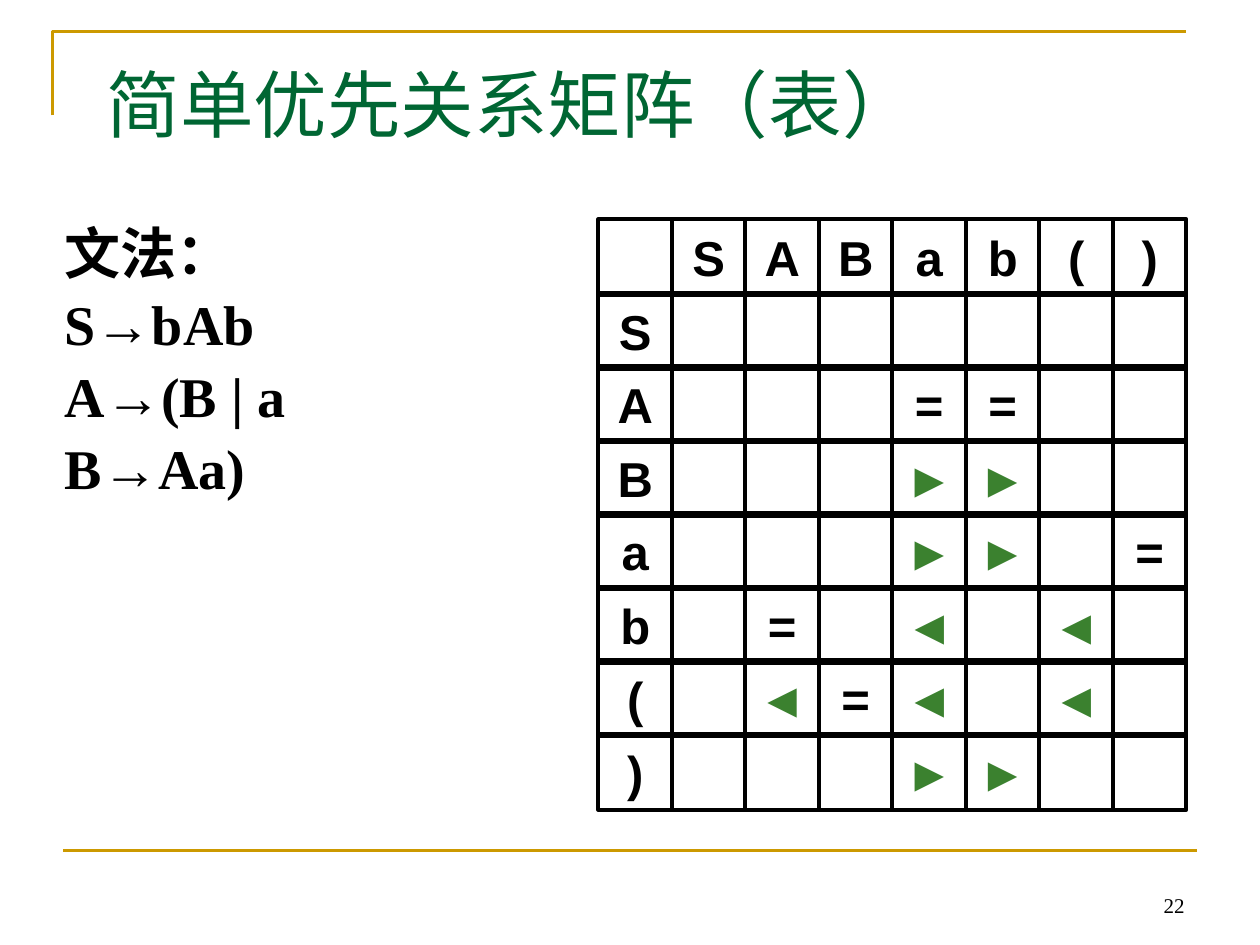
from dataclasses import dataclass

from lxml import etree
from pptx import Presentation
from pptx.dml.color import RGBColor
from pptx.enum.shapes import MSO_CONNECTOR, MSO_SHAPE
from pptx.enum.text import MSO_ANCHOR, PP_ALIGN
from pptx.oxml.ns import qn
from pptx.util import Emu, Pt

STRAIGHT = MSO_CONNECTOR.STRAIGHT
RECTANGLE = MSO_SHAPE.RECTANGLE
TOP, MIDDLE, BOTTOM = MSO_ANCHOR.TOP, MSO_ANCHOR.MIDDLE, MSO_ANCHOR.BOTTOM
LEFT, CENTER, RIGHT = PP_ALIGN.LEFT, PP_ALIGN.CENTER, PP_ALIGN.RIGHT
EMU_PER_PX = 9525


@dataclass(frozen=True)
class Theme:
    ink: str = "000000"
    title: str = "006633"
    rule: str = "CC9900"
    arrow: str = "3B812F"
    serif: str = "Times New Roman"
    sans: str = "Arial"
    title_size: float = 42
    body_size: float = 32
    cell_size: float = 28
    number_size: float = 12
    rule_width: float = 1.5
    border: float = 2.25


THEME = Theme()
SYMBOLS = "SABab()"
RELATIONS = {
    "A": {"a": "=", "b": "="},
    "B": {"a": "►", "b": "►"},
    "a": {"a": "►", "b": "►", ")": "="},
    "b": {"A": "=", "a": "◄", "(": "◄"},
    "(": {"A": "◄", "B": "=", "a": "◄", "(": "◄"},
    ")": {"a": "►", "b": "►"},
}
GRAMMAR = ["文法：", "S→bAb", "A→(B | a", "B→Aa)"]


def px(length):
    return Emu(length * EMU_PER_PX)


def style_para(para, size, color, font=THEME.serif, bold=False, align=LEFT):
    para.alignment = align
    for span in para.runs:
        span.font.size = Pt(size)
        span.font.name = font
        span.font.bold = bold
        span.font.color.rgb = RGBColor.from_string(color)


def style_line(shape, color, width):
    shape.line.color.rgb = RGBColor.from_string(color)
    shape.line.width = Pt(width)


def add_text(page, box, lines, size, color, bold=False, align=LEFT, anchor=TOP):
    frame = page.shapes.add_textbox(*map(px, box)).text_frame
    frame.word_wrap = True
    frame.vertical_anchor = anchor
    frame.text = "\n".join(lines)
    for para in frame.paragraphs:
        style_para(para, size, color, bold=bold, align=align)
    return frame


def add_frame_rules(page, box):
    """Draw the corner bracket at the top of the box and the rule at its foot."""
    left, top, width, height = box
    builder = page.shapes.build_freeform(px(left), px(top + 64))
    builder.add_line_segments(
        [(px(left), px(top)), (px(left + width), px(top))], close=False)
    bracket = builder.convert_to_shape()
    bracket.shadow.inherit = False
    bracket.fill.background()
    style_line(bracket, THEME.rule, THEME.rule_width)

    foot_left, foot_top = px(left + 8), px(top + height)
    foot = page.shapes.add_connector(
        STRAIGHT, foot_left, foot_top, px(left + 8 + width), foot_top)
    etree.SubElement(foot.element.spPr, qn("a:effectLst"))
    style_line(foot, THEME.rule, THEME.rule_width)


def add_grammar(page, box):
    frame = add_text(page, box, GRAMMAR, THEME.body_size, THEME.ink, bold=True)
    for para in frame.paragraphs[1:]:
        para.line_spacing = 0.9
        para.space_before = Pt(6.4)


def add_cell(row, box, text):
    cell = row.shapes.add_shape(RECTANGLE, *map(px, box))
    cell.shadow.inherit = False
    cell.fill.background()
    style_line(cell, THEME.ink, THEME.border)
    if not text:
        return
    frame = cell.text_frame
    frame.word_wrap = True
    frame.vertical_anchor = MIDDLE
    frame.text = text
    is_arrow = text in ("►", "◄")
    style_para(
        frame.paragraphs[0], THEME.cell_size,
        THEME.arrow if is_arrow else THEME.ink,
        THEME.serif if is_arrow else THEME.sans, bold=True, align=CENTER)


def add_precedence_matrix(page, box):
    """Stack one group of bordered cells per row; rows overlap by 2 px."""
    rows = [["", *SYMBOLS]]
    for symbol in SYMBOLS:
        found = RELATIONS.get(symbol, {})
        rows.append([symbol, *(found.get(other, "") for other in SYMBOLS)])
    left, top, width, height = box
    overlap = 2
    cell_width = width // len(rows[0])
    pitch = (height - overlap) // len(rows)
    for r, texts in enumerate(rows):
        row = page.shapes.add_group_shape()
        for c, text in enumerate(texts):
            add_cell(row, (left + c * cell_width, top + r * pitch,
                           cell_width, pitch + overlap), text)


def build_slide(deck):
    page = deck.slides.add_slide(deck.slide_layouts[6])
    add_frame_rules(page, (40, 24, 864, 624))
    add_text(page, (688, 656, 224, 48), ["22"], THEME.number_size, THEME.ink,
             align=RIGHT, anchor=BOTTOM)
    add_text(page, (72, 40, 816, 80), ["简单优先关系矩阵（表）"],
             THEME.title_size, THEME.title)
    add_grammar(page, (40, 162, 424, 289))
    add_precedence_matrix(page, (456, 167, 448, 450))


def main():
    deck = Presentation()
    deck.slide_width, deck.slide_height = px(960), px(720)
    build_slide(deck)
    deck.save("out.pptx")


if __name__ == "__main__":
    main()
